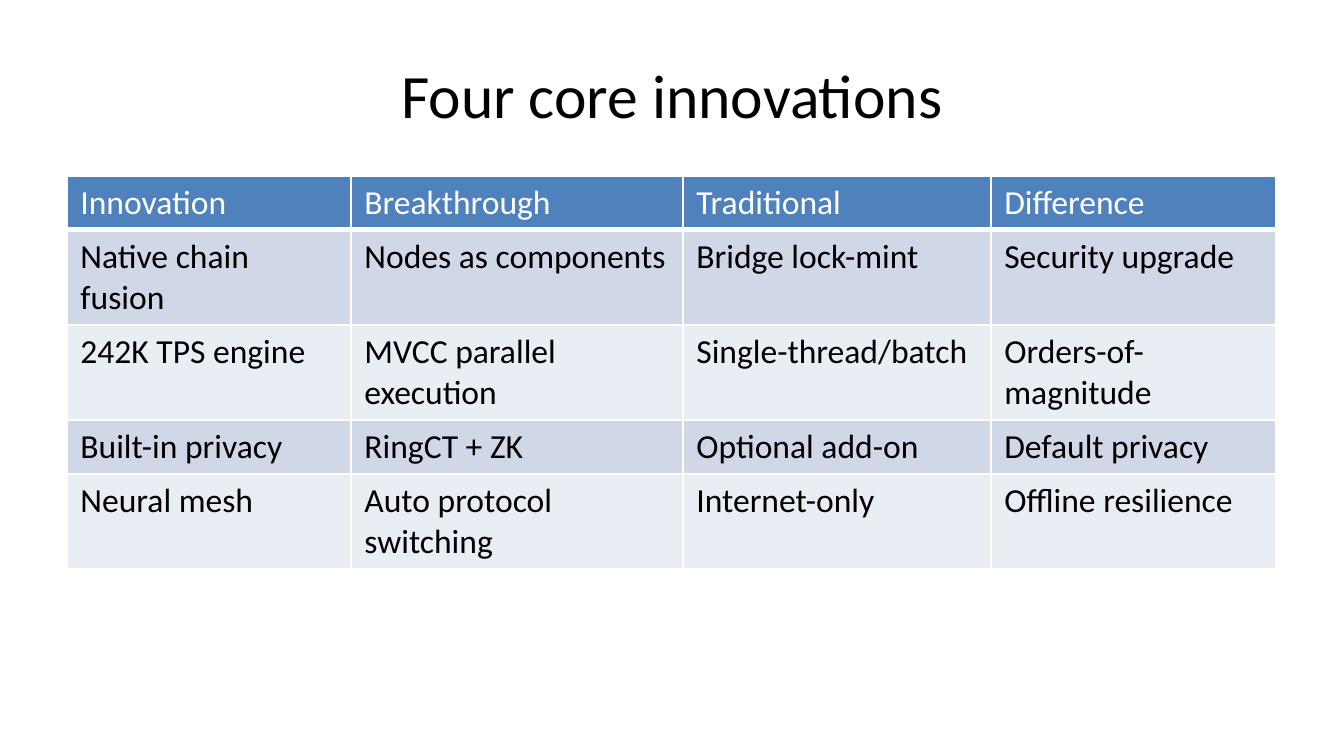
import pptx
import pptx.dml.color
import pptx.enum.text
import pptx.oxml
import pptx.oxml.ns
import pptx.util

EMU_PER_PX = 914400 / 134.4
FONT = "Calibri"
BLACK, WHITE, HEADER_BLUE = "000000", "FFFFFF", "4F81BD"
BANDS = ["D0D8E8", "E9EDF4"]

COLUMN_WIDTHS = [284, 332, 308, 285]
ROW_HEIGHTS = [54, 95, 95, 54, 95]
INNOVATIONS = [
    ["Innovation", "Breakthrough", "Traditional", "Difference"],
    ["Native chain fusion", "Nodes as components", "Bridge lock-mint", "Security upgrade"],
    ["242K TPS engine", "MVCC parallel execution", "Single-thread/batch", "Orders-of-magnitude"],
    ["Built-in privacy", "RingCT + ZK", "Optional add-on", "Default privacy"],
    ["Neural mesh", "Auto protocol switching", "Internet-only", "Offline resilience"],
]


def px(length):
    return pptx.util.Emu(round(length * EMU_PER_PX))


def color(hex_value):
    return pptx.dml.color.RGBColor.from_string(hex_value)


def add_run(paragraph, words, size, hex_value):
    run = paragraph.add_run()
    run.text = words
    run.font.name = FONT
    run.font.size = pptx.util.Pt(size)
    run.font.bold = False
    run.font.color.rgb = color(hex_value)


def add_borders(cell, bottom_width):
    properties = cell._tc.get_or_add_tcPr()
    for side, width in [("L", 1), ("R", 1), ("T", 1), ("B", bottom_width)]:
        properties.append(pptx.oxml.parse_xml(
            f'<a:ln{side} {pptx.oxml.ns.nsdecls("a")} w="{pptx.util.Pt(width)}">'
            f'<a:solidFill><a:srgbClr val="{WHITE}"/></a:solidFill></a:ln{side}>'
        ))


def add_title(slide, left, top, width, height):
    title = slide.shapes.add_textbox(px(left), px(top), px(width), px(height))
    frame = title.text_frame
    frame.word_wrap = True
    frame.vertical_anchor = pptx.enum.text.MSO_ANCHOR.MIDDLE
    heading = frame.paragraphs[0]
    heading.alignment = pptx.enum.text.PP_ALIGN.CENTER
    add_run(heading, "Four core innovations", 33, BLACK)


def add_comparison(slide, left, top):
    comparison = slide.shapes.add_table(
        len(INNOVATIONS), len(COLUMN_WIDTHS), px(left), px(top),
        px(sum(COLUMN_WIDTHS)), px(sum(ROW_HEIGHTS)),
    ).table
    for column, width in zip(comparison.columns, COLUMN_WIDTHS):
        column.width = px(width)
    for row, height in zip(comparison.rows, ROW_HEIGHTS):
        row.height = px(height)
    for r, entries in enumerate(INNOVATIONS):
        is_header = r == 0
        for c, entry in enumerate(entries):
            cell = comparison.cell(r, c)
            add_borders(cell, 3 if is_header else 1)
            cell.fill.solid()
            cell.fill.fore_color.rgb = color(HEADER_BLUE if is_header else BANDS[(r - 1) % 2])
            add_run(cell.text_frame.paragraphs[0], entry, 18, WHITE if is_header else BLACK)


def main():
    deck = pptx.Presentation()
    deck.slide_width, deck.slide_height = px(1344), px(756)
    slide = deck.slides.add_slide(deck.slide_layouts[6])
    add_title(slide, 67, 31, 1210, 126)
    add_comparison(slide, 67, 176)
    deck.save("out.pptx")


if __name__ == "__main__":
    main()
